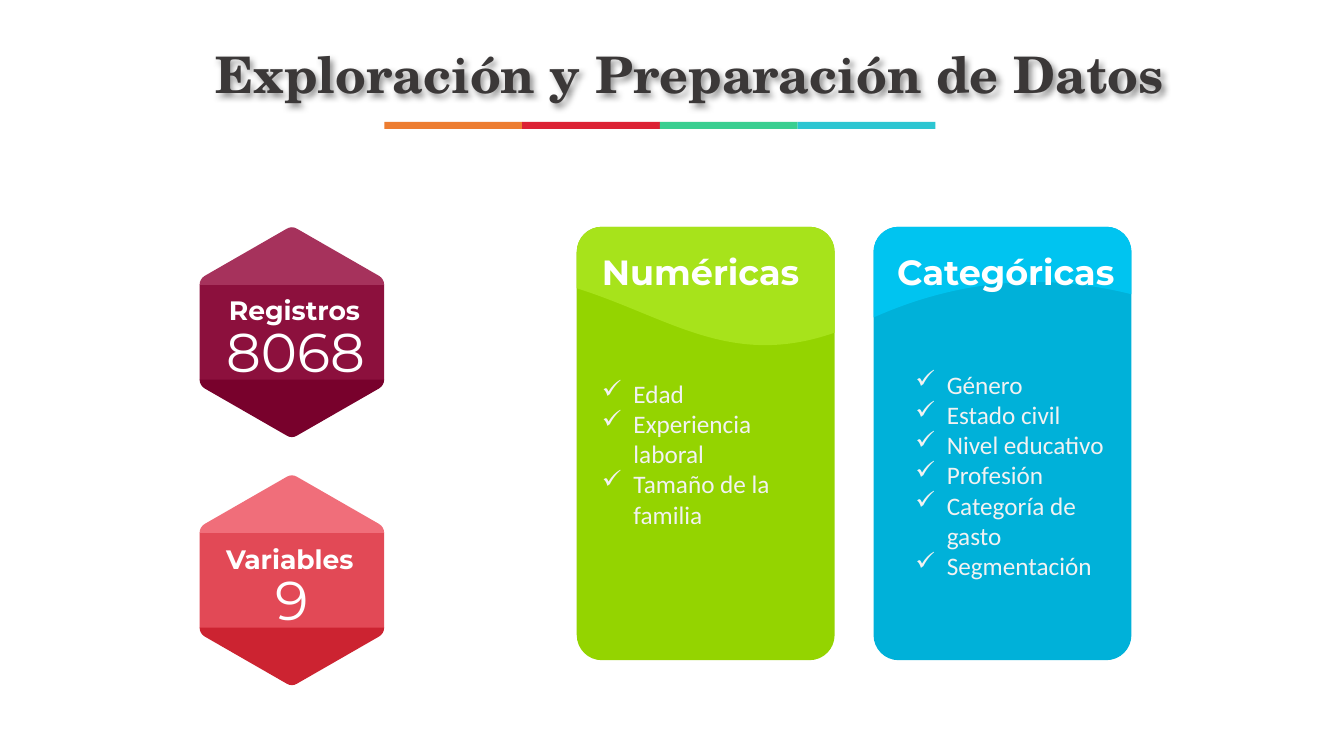
from lxml.etree import SubElement
from pptx import Presentation
from pptx.dml.color import RGBColor
from pptx.enum.shapes import MSO_SHAPE
from pptx.enum.text import MSO_AUTO_SIZE, PP_ALIGN
from pptx.oxml.ns import qn
from pptx.util import Pt

WHITE = RGBColor(0xFF, 0xFF, 0xFF)
PALE = RGBColor(0xF2, 0xF2, 0xF2)
CHARCOAL = RGBColor(0x3B, 0x38, 0x38)
ORANGE = RGBColor(0xED, 0x7D, 0x31)
RED = RGBColor(0xDC, 0x22, 0x34)
GREEN = RGBColor(0x3A, 0xCF, 0x91)
TEAL = RGBColor(0x2C, 0xC6, 0xD2)
LIME = RGBColor(0x94, 0xD4, 0x00)
LIGHT_LIME = RGBColor(0xA7, 0xE3, 0x1B)
BLUE = RGBColor(0x00, 0xB1, 0xD9)
LIGHT_BLUE = RGBColor(0x00, 0xC4, 0xF0)
WINE = (RGBColor(0xA6, 0x32, 0x5C), RGBColor(0x8C, 0x10, 0x3D), RGBColor(0x78, 0x01, 0x2C))
CORAL = (RGBColor(0xF0, 0x6E, 0x7A), RGBColor(0xE2, 0x49, 0x56), RGBColor(0xCC, 0x23, 0x31))

TITLE = {"name": "TeX Gyre Schola", "size": Pt(36), "bold": True}
HEADING = {"name": "Montserrat", "size": Pt(25), "bold": True}
LABEL = {"name": "Montserrat", "size": Pt(19), "bold": True}
FIGURE = {"name": "Montserrat", "size": Pt(39), "bold": False}
BODY = {"name": "Calibri", "size": Pt(18), "bold": False}
CARD_W, CARD_H, RADIUS, BEND = 184.2, 309.6, 18, 8
HEX_W, CAP_H, BAND_H = 131.8, 41.5, 67.6
INDENT = 22.5


def paint(shape, color):
    """Give a shape a flat fill without outline or shadow."""
    shape.shadow.inherit = False
    shape.fill.solid()
    shape.fill.fore_color.rgb = color
    shape.line.fill.background()


def straight(end):
    """Return a curve segment that runs straight to its end."""
    return [end] * 3


def add_outline(slide, left, top, start, segments, color):
    """Add a closed flat outline made of curve segments."""
    points = [start] + [point for segment in segments for point in segment]
    corners = [(Pt(left + x), Pt(top + y)) for x, y in points]
    builder = slide.shapes.build_freeform(*corners[0], scale=1.0)
    builder.add_line_segments(corners[1:], close=True)
    outline = builder.convert_to_shape()
    lines = list(outline._element.iter(qn("a:lnTo")))
    for first in range(0, len(lines), 3):
        lines[first].addprevious(bend := lines[first].makeelement(qn("a:cubicBezTo")))
        for line in lines[first:first + 3]:
            bend.append(line[0])
            line.getparent().remove(line)
    paint(outline, color)


def add_text(slide, box, lines, style, color, wrap=False, align=PP_ALIGN.LEFT, bullet=None):
    """Add a text box without margins, one paragraph per line."""
    text_box = slide.shapes.add_textbox(*map(Pt, box))
    frame = text_box.text_frame
    settings = {"margin_left": 0, "margin_top": 0, "margin_right": 0, "margin_bottom": 0,
                "word_wrap": wrap, "auto_size": MSO_AUTO_SIZE.SHAPE_TO_FIT_TEXT}
    for key, value in settings.items():
        setattr(frame, key, value)
    for index, line in enumerate(lines):
        paragraph = frame.add_paragraph() if index else frame.paragraphs[0]
        paragraph.alignment = align
        if bullet:
            properties = paragraph._p.get_or_add_pPr()
            properties.set("marL", str(Pt(INDENT)))
            properties.set("indent", str(-Pt(INDENT)))
            SubElement(properties, qn("a:buFont")).set("typeface", "OpenSymbol")
            SubElement(properties, qn("a:buChar")).set("char", bullet)
        run = paragraph.add_run()
        run.text = line
        for key, value in style.items():
            setattr(run.font, key, value)
        run.font.color.rgb = color
    return text_box


def add_header(slide, left, top, width):
    """Draw the shadowed title and the four-colour rule under it."""
    stripe = 98.4
    for index, color in enumerate((ORANGE, RED, GREEN, TEAL)):
        box = (left + 225.5 + index * stripe, top + 56.1, stripe, 5)
        paint(slide.shapes.add_shape(MSO_SHAPE.RECTANGLE, *map(Pt, box)), color)
    title = add_text(slide, (left, top, width, 56), ["Exploración y Preparación de Datos"],
                     TITLE, CHARCOAL, wrap=True, align=PP_ALIGN.CENTER)
    title.text_frame.auto_size = MSO_AUTO_SIZE.NONE
    effects = SubElement(title._element.spPr, qn("a:effectLst"))
    shadow = SubElement(effects, qn("a:outerShdw"), blurRad=str(Pt(4)), dist=str(Pt(3)),
                        dir="2700000", algn="tl", rotWithShape="0")
    black = SubElement(shadow, qn("a:srgbClr"), val="000000")
    SubElement(black, qn("a:alpha"), val="40000")


def add_card(slide, left, top, heading, heading_box, items, items_box, wave, colors):
    """Draw a rounded card with a wavy head, a heading and a ticked list."""
    right, low = CARD_W - RADIUS, CARD_H - RADIUS
    rounded_top = [
        [(CARD_W, BEND), (CARD_W - BEND, 0), (right, 0)],
        straight((RADIUS, 0)),
        [(BEND, 0), (0, BEND), (0, RADIUS)]]
    body = rounded_top + [
        straight((0, low)),
        [(0, CARD_H - BEND), (BEND, CARD_H), (RADIUS, CARD_H)],
        straight((right, CARD_H)),
        [(CARD_W - BEND, CARD_H), (CARD_W, CARD_H - BEND), (CARD_W, low)]]
    head = rounded_top + [straight(wave[0]), wave[1:]]
    for segments, color in zip((body, head), colors):
        add_outline(slide, left, top, (CARD_W, RADIUS), segments, color)
    for lines, (dx, dy, width, height), style, color, bullet in (
            ([heading], heading_box, HEADING, WHITE, None),
            (items, items_box, BODY, PALE, "✓")):
        add_text(slide, (left + dx, top + dy, width, height), lines, style, color,
                 wrap=bool(bullet), bullet=bullet)


def add_hexagon(slide, left, top, label, label_box, figure, figure_box, colors):
    """Draw a three-tone hexagon with a label above a figure."""
    middle = HEX_W / 2
    band = [straight(corner) for corner in ((HEX_W, 0), (HEX_W, BAND_H + 0.4), (0, BAND_H + 0.4))]
    add_outline(slide, left, top + CAP_H - 0.2, (0, 0), band, colors[1])
    for edge, sign, color in ((0, 1, colors[0]), (2 * CAP_H + BAND_H, -1, colors[2])):
        cap = [[(x, edge + sign * y) for x, y in segment] for segment in (
            [(HEX_W, 38.7), (HEX_W - 1.4, 36.5), (HEX_W - 3.6, 35.1)],
            straight((middle + 3.6, 1.4)),
            [(middle + 1.4, 0), (middle - 1.4, 0), (middle - 3.6, 1.4)],
            straight((3.6, 35.1)),
            [(1.4, 36.5), (0, 38.7), (0, CAP_H)])]
        add_outline(slide, left, top, (HEX_W, edge + sign * CAP_H), cap, color)
    for text, (dx, dy, width, height), style in ((label, label_box, LABEL),
                                                 (figure, figure_box, FIGURE)):
        add_text(slide, (left + dx, top + dy, width, height), [text], style, WHITE)


def main():
    """Build and save the slide."""
    deck = Presentation()
    deck.slide_width, deck.slide_height = Pt(960), Pt(540)
    slide = deck.slides.add_slide(deck.slide_layouts[6])
    add_header(slide, 49, 31, 887)
    add_card(slide, 412, 162, "Numéricas", (18, 17.2, 142.6, 30.2),
             ["Edad", "Experiencia laboral", "Tamaño de la familia"], (18, 108, 150.5, 108.7),
             [(0, 43.9), (66.2, 64.8), (110.2, 101.5), (CARD_W, 75.6)], (LIME, LIGHT_LIME))
    add_card(slide, 624, 162, "Categóricas", (16.8, 16.8, 157.7, 30.2),
             ["Género", "Estado civil", "Nivel educativo", "Profesión", "Categoría de gasto",
              "Segmentación"], (29.8, 101.5, 144.7, 152.6),
             [(0, 64.8), (74.2, 31.7), (138.2, 36.7), (CARD_W, 48.2)], (BLUE, LIGHT_BLUE))
    add_hexagon(slide, 142.6, 162, "Registros", (20.9, 48, 95, 23),
                "8068", (18.9, 65.2, 100, 47.5), WINE)
    add_hexagon(slide, 142.6, 339.2, "Variables", (18.9, 48.6, 93.6, 23),
                "9", (54, 64.8, 23.8, 47.5), CORAL)
    deck.save("out.pptx")


if __name__ == "__main__":
    main()
